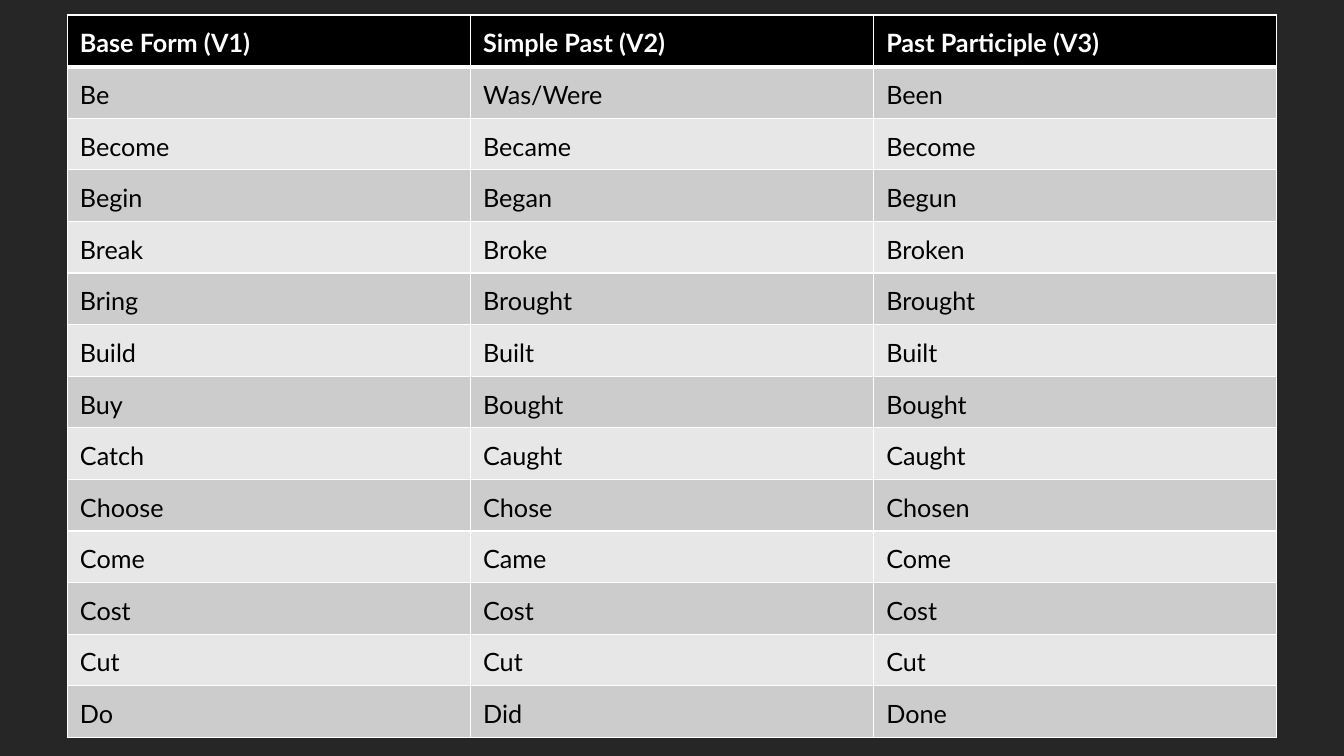
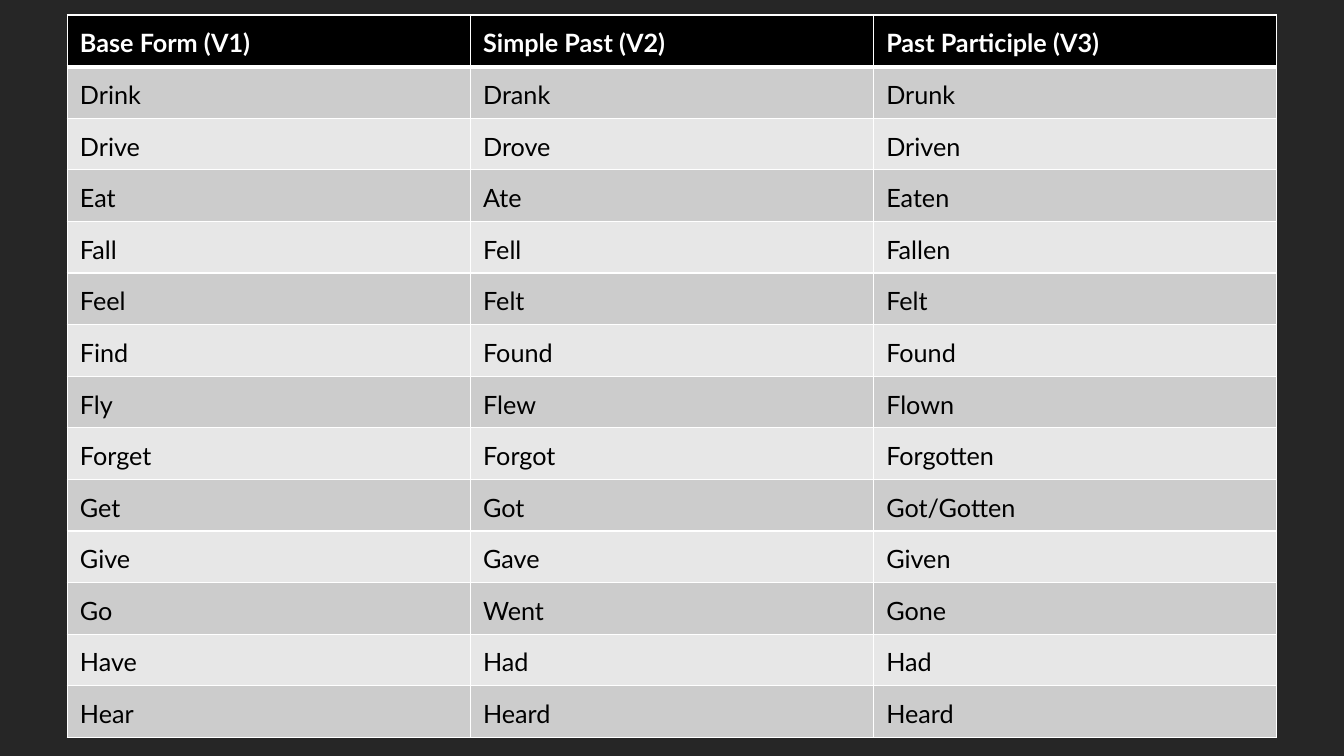
from dataclasses import dataclass

from lxml.etree import SubElement
from pptx import Presentation
from pptx.dml.color import RGBColor
from pptx.enum.text import MSO_ANCHOR
from pptx.oxml.ns import qn
from pptx.util import Cm, Pt


@dataclass(frozen=True)
class Theme:
    background: str = "262626"
    header_fill: str = "000000"
    header_text: str = "FFFFFF"
    bands: tuple = ("CCCCCC", "E7E7E7")
    body_text: str = "000000"
    border: str = "FFFFFF"
    border_pt: float = 1
    header_rule_pt: float = 3
    font: str = "Lato"
    size: float = 18
    line_spacing: float = 1.15
    space_after: float = 8


THEME = Theme()
SLIDE_W, SLIDE_H = Cm(33.87), Cm(19.05)
TABLE_W, TABLE_TOP, ROW_H = Cm(30.48), Cm(0.38), Cm(1.3)
INSET_X, INSET_Y = Cm(0.32), Cm(0.21)

HEADERS = ("Base Form (V1)", "Simple Past (V2)", "Past Participle (V3)")
VERBS_BE_TO_DO = (
    ("Be", "Was/Were", "Been"),
    ("Become", "Became", "Become"),
    ("Begin", "Began", "Begun"),
    ("Break", "Broke", "Broken"),
    ("Bring", "Brought", "Brought"),
    ("Build", "Built", "Built"),
    ("Buy", "Bought", "Bought"),
    ("Catch", "Caught", "Caught"),
    ("Choose", "Chose", "Chosen"),
    ("Come", "Came", "Come"),
    ("Cost", "Cost", "Cost"),
    ("Cut", "Cut", "Cut"),
    ("Do", "Did", "Done"),
)
VERBS_DRINK_TO_HEAR = (
    ("Drink", "Drank", "Drunk"),
    ("Drive", "Drove", "Driven"),
    ("Eat", "Ate", "Eaten"),
    ("Fall", "Fell", "Fallen"),
    ("Feel", "Felt", "Felt"),
    ("Find", "Found", "Found"),
    ("Fly", "Flew", "Flown"),
    ("Forget", "Forgot", "Forgotten"),
    ("Get", "Got", "Got/Gotten"),
    ("Give", "Gave", "Given"),
    ("Go", "Went", "Gone"),
    ("Have", "Had", "Had"),
    ("Hear", "Heard", "Heard"),
)


def set_borders(cell, top, bottom):
    tc_pr = cell._tc.get_or_add_tcPr()
    sides = {"L": THEME.border_pt, "R": THEME.border_pt, "T": top, "B": bottom}
    for side, width in sides.items():
        ln = SubElement(tc_pr, qn(f"a:ln{side}"), w=str(Pt(width)))
        SubElement(SubElement(ln, qn("a:solidFill")), qn("a:srgbClr"), val=THEME.border)


def write_cell(cell, text, row):
    is_header = row == 0
    set_borders(
        cell,
        top=THEME.header_rule_pt if row == 1 else THEME.border_pt,
        bottom=THEME.header_rule_pt if is_header else THEME.border_pt,
    )
    fill = THEME.header_fill if is_header else THEME.bands[(row - 1) % 2]
    cell.fill.solid()
    cell.fill.fore_color.rgb = RGBColor.from_string(fill)
    cell.vertical_anchor = MSO_ANCHOR.MIDDLE
    cell.margin_left = cell.margin_right = INSET_X
    cell.margin_top = cell.margin_bottom = INSET_Y
    p = cell.text_frame.paragraphs[0]
    p.text = text
    p.line_spacing = THEME.line_spacing
    p.space_after = Pt(THEME.space_after)
    font = p.runs[0].font
    font.name = THEME.font
    font.size = Pt(THEME.size)
    font.bold = is_header
    font.color.rgb = RGBColor.from_string(
        THEME.header_text if is_header else THEME.body_text
    )


def add_verb_table(s, verbs, left, top, width, row_height):
    rows = (HEADERS, *verbs)
    table = s.shapes.add_table(
        len(rows), len(HEADERS), left, top, width, row_height * len(rows)
    ).table
    for i, row in enumerate(rows):
        for j, text in enumerate(row):
            write_cell(table.cell(i, j), text, i)


def add_verb_slide(prs, verbs):
    s = prs.slides.add_slide(prs.slide_layouts[6])
    left = (prs.slide_width - TABLE_W) // 2
    add_verb_table(s, verbs, left, TABLE_TOP, TABLE_W, ROW_H)


def main():
    prs = Presentation()
    prs.slide_width, prs.slide_height = SLIDE_W, SLIDE_H
    background = prs.slide_master.background.fill
    background.solid()
    background.fore_color.rgb = RGBColor.from_string(THEME.background)
    for verbs in (VERBS_BE_TO_DO, VERBS_DRINK_TO_HEAR):
        add_verb_slide(prs, verbs)
    prs.save("out.pptx")


if __name__ == "__main__":
    main()
